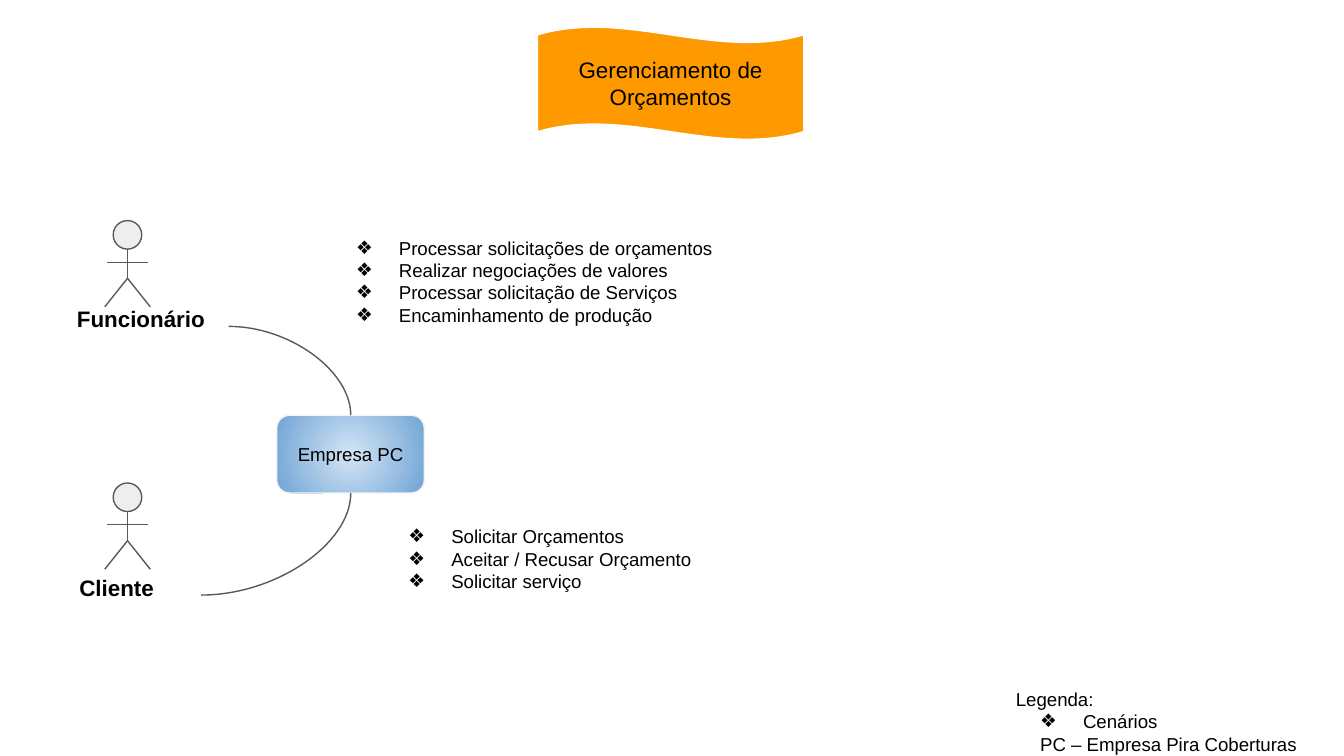
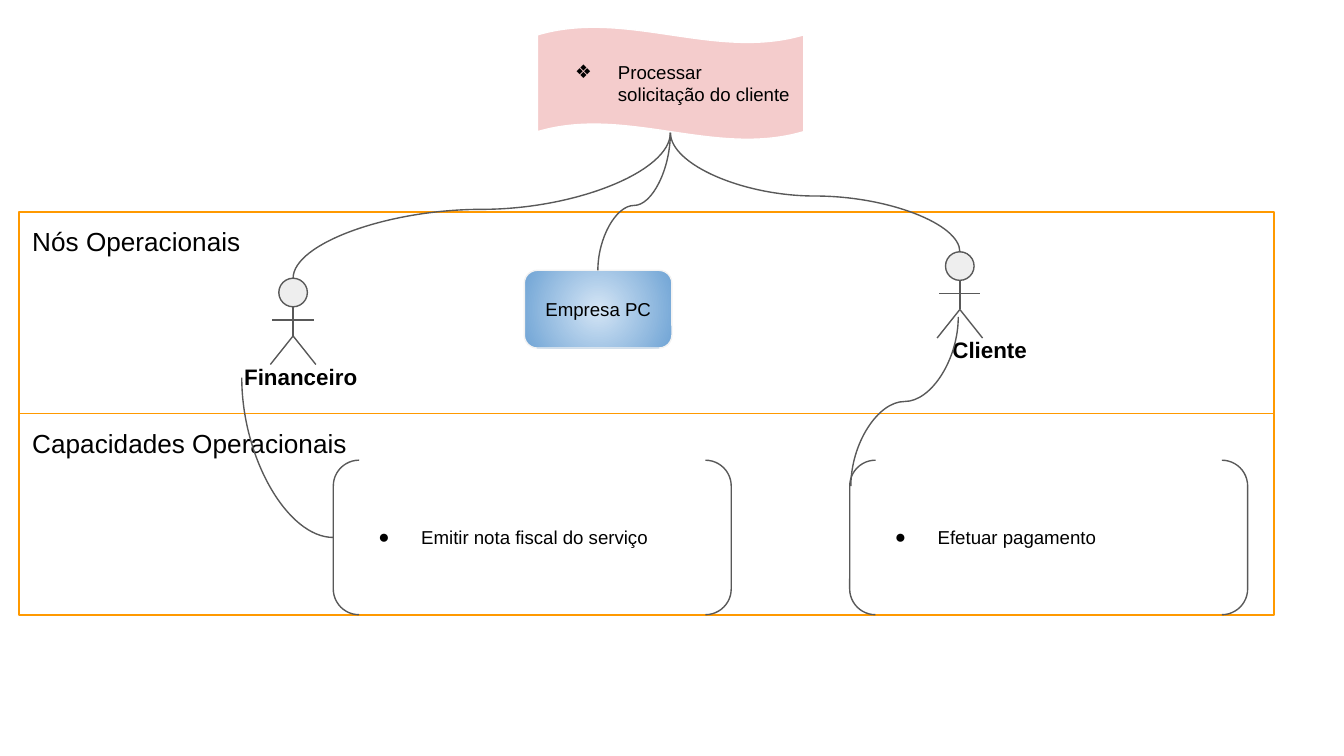
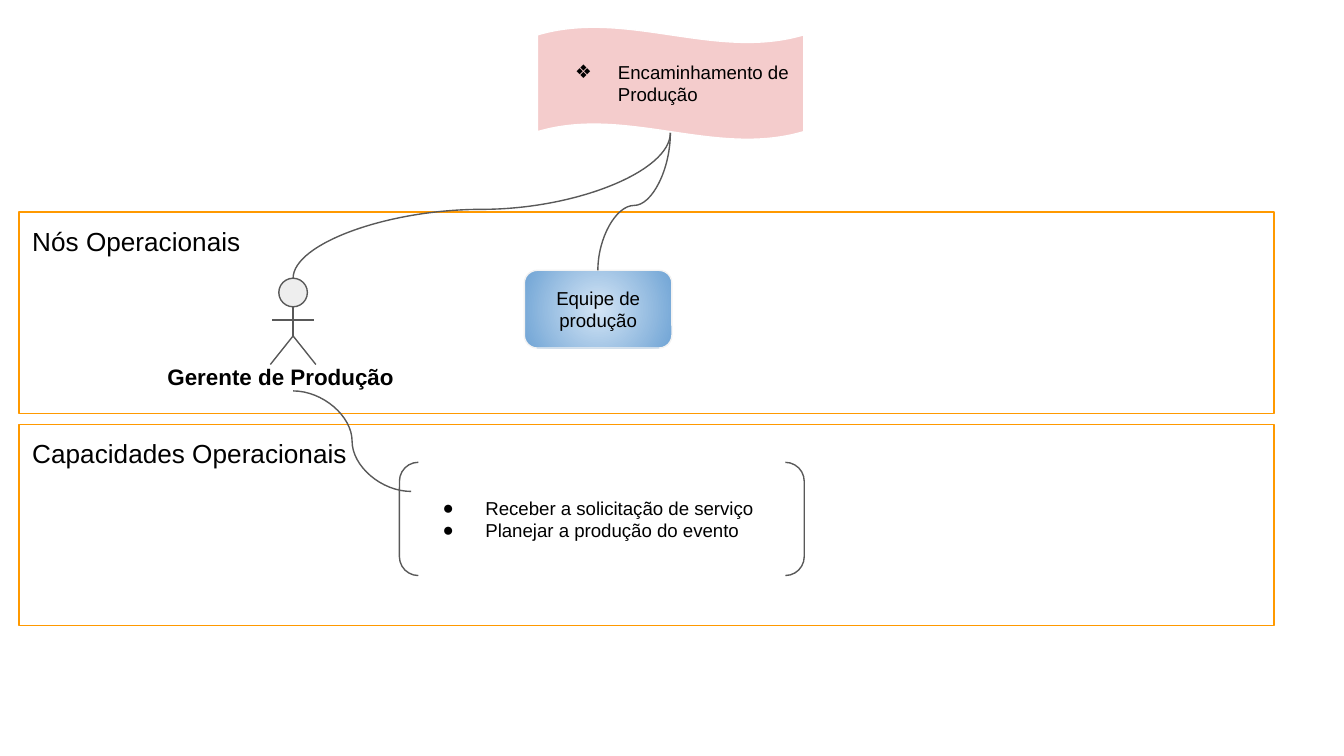
from lxml.etree import SubElement
from pptx import Presentation
from pptx.dml.color import RGBColor
from pptx.enum.shapes import MSO_CONNECTOR, MSO_SHAPE
from pptx.enum.text import MSO_ANCHOR, PP_ALIGN
from pptx.oxml.ns import qn
from pptx.util import Cm, Pt

FONT = "Arial"
BLACK, WHITE, GRAY, HEAD = "000000", "FFFFFF", "595959", "EEEEEE"
ORANGE, PINK, EDGE = "FF9900", "F4CCCC", "F3F3F3"
CENTER_BLUE, OUTER_BLUE = "D4E5F5", "70A4D5"
BANNER_BOX = (10.16, 0.51, 5.03, 2.13)
BANNER_FOOT = (12.67, 2.51)
TOP, LEFT, BOTTOM, RIGHT = range(4)


def color(value):
    """Turn a hex string into a colour."""
    return RGBColor.from_string(value)


def plain(text, margin=0):
    """Describe one paragraph without a bullet."""
    return text, None, margin


def bulleted(mark, *texts):
    """Describe paragraphs that share one bullet mark."""
    return [(text, mark, 1.27) for text in texts]


def write(sp, lines, size=10, bold=False, align=PP_ALIGN.LEFT, anchor=MSO_ANCHOR.TOP):
    """Fill a shape with paragraphs."""
    tf = sp.text_frame
    tf.word_wrap = True
    tf.vertical_anchor = anchor
    tf.margin_left = tf.margin_right = tf.margin_top = tf.margin_bottom = Cm(0.25)
    for i, (text, mark, margin) in enumerate(lines):
        p = tf.add_paragraph() if i else tf.paragraphs[0]
        p.alignment = align
        pPr = p._p.get_or_add_pPr()
        pPr.set("marL", str(Cm(margin)))
        pPr.set("indent", str(Cm(-0.81 if mark else 0)))
        if mark:
            clr = SubElement(pPr, qn("a:buClr"))
            SubElement(clr, qn("a:srgbClr")).set("val", BLACK)
            SubElement(pPr, qn("a:buFont")).set("typeface", FONT)
            SubElement(pPr, qn("a:buChar")).set("char", mark)
        r = p.add_run()
        r.text = text
        r.font.name, r.font.size, r.font.bold = FONT, Pt(size), bold
        r.font.color.rgb = color(BLACK)


def add_shape(parent, kind, box, fill=None, line=GRAY):
    """Add a preset shape with flat styling."""
    sp = parent.shapes.add_shape(kind, *map(Cm, box))
    sp.shadow.inherit = False
    if fill:
        sp.fill.solid()
        sp.fill.fore_color.rgb = color(fill)
    else:
        sp.fill.background()
    sp.line.color.rgb = color(line)
    sp.line.width = Pt(0.75)
    return sp


def add_text(parent, box, lines, **style):
    """Add a wrapping text box."""
    sp = parent.shapes.add_textbox(*map(Cm, box))
    write(sp, lines, **style)
    return sp


def add_line(parent, start, end, kind=MSO_CONNECTOR.STRAIGHT):
    """Add a thin gray connector."""
    c = parent.shapes.add_connector(kind, *map(Cm, start + end))
    c.line.color.rgb = color(GRAY)
    c.line.width = Pt(0.75)
    SubElement(c.element.spPr, qn("a:effectLst"))
    return c


def curve(slide, start, end, vertical=False, bends=2, adj=0.5, source=None, target=None):
    """Join two points with a curve, optionally glued to shapes."""
    (x1, y1), (x2, y2) = start, end
    dx, dy = x2 - x1, y2 - y1
    if vertical:
        cx, cy = (x1 + x2) / 2, (y1 + y2) / 2
        half_w = abs(dy) / 2
        half_h = abs(dx) / 2 * (-1 if dx * dy > 0 else 1)
        start, end = (cx - half_w, cy - half_h), (cx + half_w, cy + half_h)
    c = add_line(slide, start, end, MSO_CONNECTOR.CURVE)
    if source:
        c.begin_connect(*source)
    if target:
        c.end_connect(*target)
    c.begin_x, c.begin_y = map(Cm, start)
    c.end_x, c.end_y = map(Cm, end)
    if vertical:
        xfrm = c.element.spPr.find(qn("a:xfrm"))
        xfrm.set("rot", str((90 if dy > 0 else 270) * 60000))
    geom = c.element.spPr.find(qn("a:prstGeom"))
    geom.set("prst", f"curvedConnector{bends + 1}")
    if bends == 2:
        gd = SubElement(geom.find(qn("a:avLst")), qn("a:gd"))
        gd.set("name", "adj1")
        gd.set("fmla", f"val {round(adj * 100000)}")


def banner(slide, lines, fill, **style):
    """Draw the waving title banner."""
    sp = add_shape(slide, MSO_SHAPE.WAVE, BANNER_BOX, fill, WHITE)
    sp.adjustments[0], sp.adjustments[1] = 0.07, 0
    write(sp, lines, anchor=MSO_ANCHOR.MIDDLE, **style)
    return sp


def node(slide, x, y, text):
    """Draw a blue organisation node."""
    sp = add_shape(slide, MSO_SHAPE.ROUNDED_RECTANGLE, (x, y, 2.79, 1.47), line=EDGE)
    sp.fill.gradient()
    for stop, value in zip(sp.fill.gradient_stops, (CENTER_BLUE, OUTER_BLUE)):
        stop.color.rgb = color(value)
    grad = sp.element.spPr.find(qn("a:gradFill"))
    grad.remove(grad.find(qn("a:lin")))
    radial = SubElement(grad, qn("a:path"))
    radial.set("path", "circle")
    rect = SubElement(radial, qn("a:fillToRect"))
    for side in "ltrb":
        rect.set(side, "50000")
    write(sp, [plain(text)], align=PP_ALIGN.CENTER, anchor=MSO_ANCHOR.MIDDLE)
    return sp


def actor(slide, x, y, name, shift, width, height=0.97, drop=1.35):
    """Draw a stick figure from its head corner, with its name below."""
    group = slide.shapes.add_group_shape()
    head = add_shape(group, MSO_SHAPE.FLOWCHART_CONNECTOR, (x, y, 0.54, 0.54), HEAD)
    mid, hip, foot = x + 0.27, y + 1.09, y + 1.63
    add_line(group, (mid, y + 0.54), (mid, hip))
    add_line(group, (x - 0.12, y + 0.79), (x + 0.66, y + 0.79))
    for side in (-1, 1):
        add_line(group, (mid, hip), (mid + side * 0.43, foot))
    label = add_text(group, (x + shift, y + drop, width, height), [plain(name)],
                     size=12, bold=True, align=PP_ALIGN.CENTER)
    return head, label


def panel(slide, y, title):
    """Draw an outlined section with its heading."""
    sp = add_shape(slide, MSO_SHAPE.RECTANGLE, (0.36, y, 23.72, 3.81), line=ORANGE)
    write(sp, [plain(title)], size=14)


def capabilities(slide, box, *texts):
    """Draw a bracketed list of capabilities."""
    sp = add_shape(slide, MSO_SHAPE.DOUBLE_BRACKET, box)
    write(sp, bulleted("●", *texts), anchor=MSO_ANCHOR.MIDDLE)
    return sp


def scenario(slide, title, person, shift, width, team, capacity_y):
    """Draw what the scenario slides share and return the banner."""
    panel(slide, 4.01, "Nós Operacionais")
    panel(slide, capacity_y, "Capacidades Operacionais")
    flag = banner(slide, bulleted("❖", title), PINK)
    head, _ = actor(slide, 5.27, 5.26, person, shift, width)
    box = node(slide, 9.91, 5.11, team)
    for sp, start, adj in ((box, (11.3, 5.11), 0.472), (head, (5.54, 5.26), 0.474)):
        curve(slide, start, BANNER_FOOT, True, adj=adj,
              source=(sp, TOP), target=(flag, BOTTOM))
    return flag


def budget_slide(slide):
    """Build the budget management overview."""
    banner(slide, [plain("Gerenciamento de Orçamentos")], ORANGE,
           size=12, align=PP_ALIGN.CENTER)
    company = node(slide, 5.23, 7.85, "Empresa PC")
    _, client = actor(slide, 2.14, 9.13, "Cliente", -1.55, 3.23, 1.32, 1.47)
    _, employee = actor(slide, 2.14, 4.17, "Funcionário", -1.14, 3.33, 1.32)
    curve(slide, (4.32, 6.17), (6.63, 7.85), bends=1,
          source=(employee, RIGHT), target=(company, TOP))
    curve(slide, (3.8, 11.25), (6.63, 9.32), bends=1,
          source=(client, RIGHT), target=(company, BOTTOM))
    add_text(slide, (6.02, 4.22, 8.43, 2.57), bulleted(
        "❖", "Processar solicitações de orçamentos", "Realizar negociações de valores",
        "Processar solicitação de Serviços", "Encaminhamento de produção"))
    add_text(slide, (7.01, 9.68, 8.43, 2.57), bulleted(
        "❖", "Solicitar Orçamentos", "Aceitar / Recusar Orçamento", "Solicitar serviço"))
    add_text(slide, (18.95, 12.75, 6.27, 1.32), [
        plain("Legenda:"), *bulleted("❖", "Cenários"),
        plain("PC – Empresa Pira Coberturas", 0.46)])


def request_slide(slide):
    """Build the client request scenario."""
    flag = scenario(slide, "Processar solicitação do cliente", "Financeiro",
                    -1.16, 3.15, "Empresa PC", 7.82)
    head, _ = actor(slide, 17.87, 4.76, "Cliente", -0.88, 3.43)
    curve(slide, (18.14, 4.76), BANNER_FOOT, True, adj=0.468,
          source=(head, TOP), target=(flag, BOTTOM))
    invoice = capabilities(slide, (6.3, 8.7, 7.52, 2.92), "Emitir nota fiscal do serviço")
    capabilities(slide, (16.06, 8.7, 7.52, 2.92), "Efetuar pagamento")
    curve(slide, (4.57, 7.14), (6.3, 10.16), True, bends=1, target=(invoice, LEFT))
    curve(slide, (18.11, 5.99), (16.08, 9.19), True)


def production_slide(slide):
    """Build the production hand-over scenario."""
    scenario(slide, "Encaminhamento de Produção", "Gerente de Produção",
             -2.76, 5.59, "Equipe de produção", 8.02)
    capabilities(slide, (7.55, 8.74, 7.65, 2.14),
                 "Receber a solicitação de serviço", "Planejar a produção do evento")
    curve(slide, (5.54, 7.39), (7.77, 9.29))


def main():
    """Build and save the presentation."""
    prs = Presentation()
    prs.slide_width, prs.slide_height = Cm(25.4), Cm(14.29)
    for build in (budget_slide, request_slide, production_slide):
        build(prs.slides.add_slide(prs.slide_layouts[6]))
    prs.save("out.pptx")


if __name__ == "__main__":
    main()
